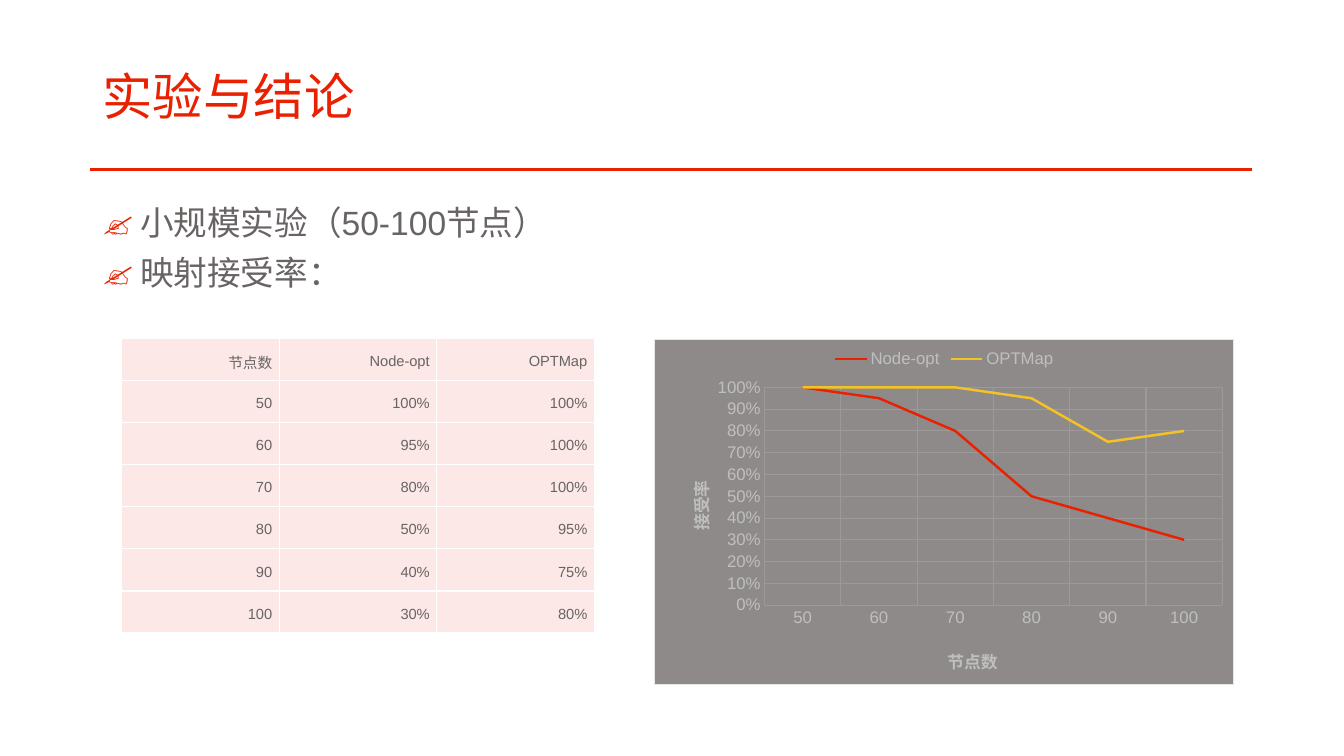
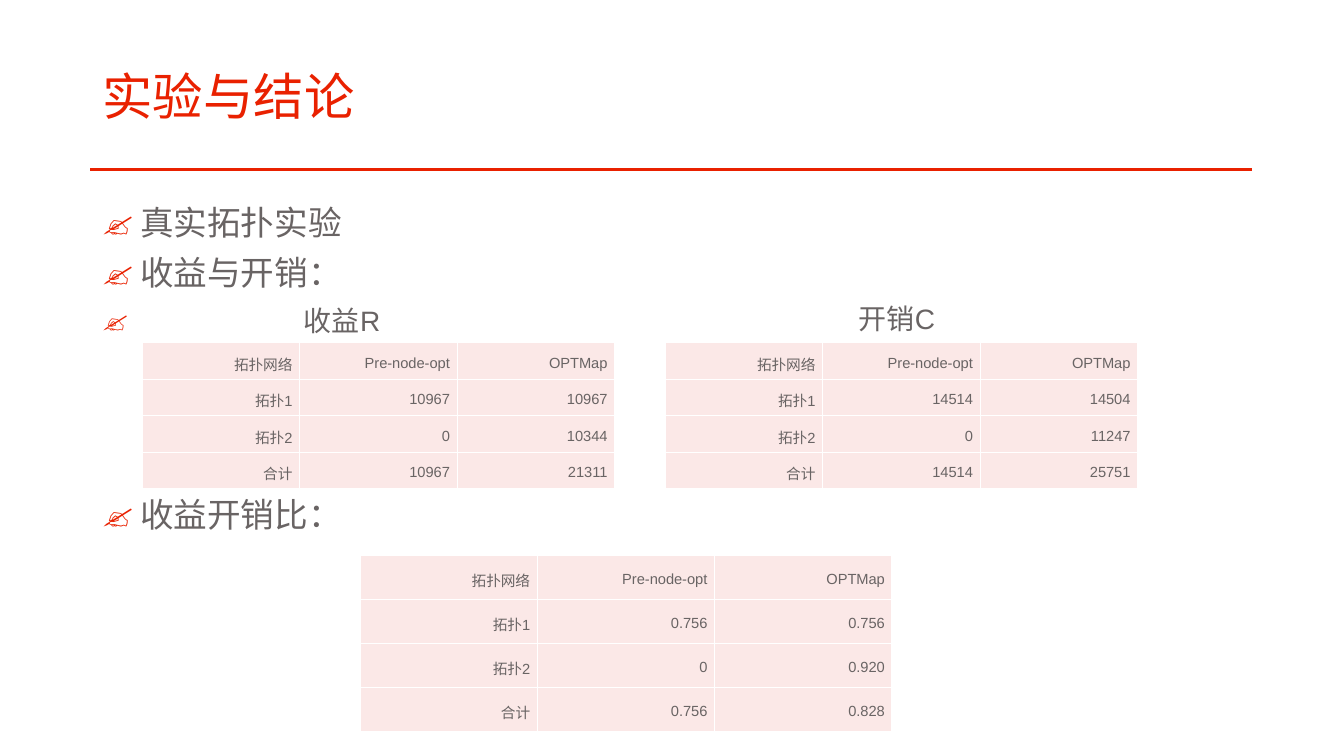
from lxml import etree
from pptx import Presentation
from pptx import util as u
from pptx.chart.data import CategoryChartData
from pptx.dml.color import RGBColor
from pptx.enum import chart as charts, shapes, text
from pptx.oxml import parse_xml
from pptx.oxml.ns import nsdecls, qn

RED = RGBColor(0xE9, 0x21, 0x00)
YELLOW = RGBColor(0xF3, 0xC3, 0x24)
GRAY = RGBColor(0x69, 0x64, 0x64)
PINK = RGBColor(0xFB, 0xE8, 0xE7)
WHITE = RGBColor(0xFF, 0xFF, 0xFF)
PANEL = RGBColor(0x8F, 0x8A, 0x8A)
PANEL_EDGE = RGBColor(0xE9, 0xE8, 0xE8)
GRID = RGBColor(0x9D, 0x99, 0x99)
SILVER = RGBColor(0xBF, 0xBF, 0xBF)
FONT = "Arial"
LEFT, WIDTH = 2.33, 29.21
HANG = 0.95


def style(font, size, color, bold=False):
    font.name = FONT
    font.size = u.Pt(size)
    font.bold = bold
    font.color.rgb = color


def line_xml(tag, color, points):
    return (f'<a:{tag} {nsdecls("a")} w="{u.Pt(points)}"><a:solidFill>'
            f'<a:srgbClr val="{color}"/></a:solidFill></a:{tag}>')


def place(parent, index, **fractions):
    for layout in parent.findall(qn("c:layout")):
        parent.remove(layout)
    inner = '<c:layoutTarget val="inner"/>' if "w" in fractions else ""
    modes = "".join(f'<c:{key}Mode val="edge"/>' for key in "xy")
    values = "".join(f'<c:{key} val="{value}"/>' for key, value in fractions.items())
    parent.insert(index, parse_xml(
        f'<c:layout {nsdecls("c")}><c:manualLayout>{inner}{modes}{values}'
        '</c:manualLayout></c:layout>'))


class Deck:
    def __init__(self):
        self.show = Presentation()
        self.show.slide_width = u.Cm(33.87)
        self.show.slide_height = u.Cm(19.05)
        self.page = None

    def add_span(self, para, words, size, color, bold=False):
        span = para.add_run()
        span.text = words
        style(span.font, size, color, bold)

    def add_page(self, title):
        self.page = self.show.slides.add_slide(self.show.slide_layouts[5])
        rule = self.page.shapes.add_connector(
            shapes.MSO_CONNECTOR.STRAIGHT, u.Cm(2.28), u.Cm(4.27), u.Cm(31.54), u.Cm(4.27))
        rule.line.color.rgb = RED
        rule.line.width = u.Pt(1.75)
        etree.SubElement(rule._element.spPr, qn("a:effectLst"))
        box = self.page.shapes.title
        box.left, box.top, box.width, box.height = map(u.Cm, (LEFT, 1.14, WIDTH, 2.74))
        box.text_frame.vertical_anchor = text.MSO_ANCHOR.MIDDLE
        para = box.text_frame.paragraphs[0]
        para.alignment = text.PP_ALIGN.LEFT
        para.line_spacing = 0.9
        self.add_span(para, title, 36, RED)

    def text_box(self, left, top, width, height):
        box = self.page.shapes.add_textbox(*map(u.Cm, (left, top, width, height)))
        box.text_frame.word_wrap = True
        return box.text_frame

    def bullets(self, *items):
        frame = self.text_box(LEFT, 5.08, WIDTH, 13)
        for number, (words, size, before, hang) in enumerate(items):
            para = frame.add_paragraph() if number else frame.paragraphs[0]
            para.line_spacing = 0.9
            para.space_before = u.Pt(before)
            self.add_span(para, words, size, GRAY)
            properties = para._p.get_or_add_pPr()
            properties.set("marL", str(u.Cm(hang)))
            properties.set("indent", str(-u.Cm(hang)))
            color = etree.SubElement(properties, qn("a:buClr"))
            etree.SubElement(color, qn("a:srgbClr"), val=str(RED))
            etree.SubElement(properties, qn("a:buFont"), typeface=FONT)
            etree.SubElement(properties, qn("a:buChar"), char="✍")

    def label(self, words, left, top):
        frame = self.text_box(left, top, 4, 0.8)
        frame.margin_left = frame.margin_top = 0
        para = frame.paragraphs[0]
        para.line_spacing = 0.9
        self.add_span(para, words, 20, GRAY)

    def table(self, left, top, column_width, row_height, rows):
        columns = len(rows[0])
        table = self.page.shapes.add_table(
            len(rows), columns, u.Cm(left), u.Cm(top),
            u.Cm(column_width * columns), u.Cm(row_height * len(rows))).table
        table.first_row = table.horz_banding = False
        for column in table.columns:
            column.width = u.Cm(column_width)
        for number, values in enumerate(rows):
            table.rows[number].height = u.Cm(row_height)
            for cell, words in zip(table.rows[number].cells, values):
                self.fill_cell(cell, words, 0 if number else 10)

    def fill_cell(self, cell, words, after):
        cell.fill.solid()
        cell.fill.fore_color.rgb = PINK
        cell.vertical_anchor = text.MSO_ANCHOR.MIDDLE
        cell.margin_left = cell.margin_right = u.Cm(0.18)
        cell.margin_top = cell.margin_bottom = 0
        para = cell.text_frame.paragraphs[0]
        para.alignment = text.PP_ALIGN.RIGHT
        para.line_spacing = 1.25
        para.space_before = u.Pt(12)
        para.space_after = u.Pt(after)
        self.add_span(para, words, 10.5, GRAY)
        properties = cell._tc.get_or_add_tcPr()
        for index, side in enumerate(("lnL", "lnR", "lnT", "lnB")):
            properties.insert(index, parse_xml(line_xml(side, WHITE, 1)))

    def axis(self, axis, title, x, y):
        axis.has_major_gridlines = True
        axis.major_gridlines.format.line.color.rgb = GRID
        axis.major_gridlines.format.line.width = u.Pt(0.75)
        axis.major_tick_mark = axis.minor_tick_mark = charts.XL_TICK_MARK.NONE
        axis.format.line.fill.background()
        style(axis.tick_labels.font, 12, SILVER)
        self.add_span(axis.axis_title.text_frame.paragraphs[0], title, 12, SILVER, True)
        place(axis.axis_title._element, 1, x=x, y=y)

    def line_chart(self, left, top, width, height, categories, series, titles):
        data = CategoryChartData(number_format="0%")
        data.categories = categories
        for name, values, _ in series:
            data.add_series(name, values)
        chart = self.page.shapes.add_chart(
            charts.XL_CHART_TYPE.LINE, *map(u.Cm, (left, top, width, height)), data).chart
        chart.has_title = False
        style(chart.font, 10, GRAY)
        chart.has_legend = True
        chart.legend.position = charts.XL_LEGEND_POSITION.TOP
        chart.legend.include_in_layout = False
        style(chart.legend.font, 12, SILVER)
        self.axis(chart.category_axis, titles[0], 0.5, 0.88)
        self.axis(chart.value_axis, titles[1], 0.05, 0.4)
        chart.value_axis.minimum_scale = 0
        chart.value_axis.maximum_scale = 1
        chart.value_axis.major_unit = 0.1
        chart.value_axis.tick_labels.number_format = "0%"
        chart.value_axis.tick_labels.number_format_is_linked = False
        chart.plots[0].vary_by_categories = False
        for curve, (_, _, color) in zip(chart.plots[0].series, series):
            curve.smooth = False
            curve.marker.style = charts.XL_MARKER_STYLE.NONE
            curve.format.line.color.rgb = color
            curve.format.line.width = u.Pt(1.75)
        body = chart._chartSpace.find(qn("c:chart"))
        place(body.find(qn("c:plotArea")), 0, x=0.19, y=0.14, w=0.79, h=0.63)
        body.addnext(parse_xml(
            f'<c:spPr {nsdecls("c", "a")}><a:solidFill><a:srgbClr val="{PANEL}"/>'
            f'</a:solidFill>{line_xml("ln", PANEL_EDGE, 0.75)}</c:spPr>'))


def main():
    deck = Deck()
    title = "实验与结论"

    deck.add_page(title)
    deck.bullets(("小规模实验（50-100节点）", 24, 10, HANG), ("映射接受率：", 24, 10, HANG))
    nodes = ["50", "60", "70", "80", "90", "100"]
    node_opt = [1, 0.95, 0.8, 0.5, 0.4, 0.3]
    opt_map = [1, 1, 1, 0.95, 0.75, 0.8]
    rates = [(node, f"{first:.0%}", f"{second:.0%}")
             for node, first, second in zip(nodes, node_opt, opt_map)]
    deck.table(3.07, 8.53, 3.97, 1.06, [("节点数", "Node-opt", "OPTMap"), *rates])
    deck.line_chart(16.48, 8.53, 14.63, 8.74, nodes,
                    [("Node-opt", node_opt, RED), ("OPTMap", opt_map, YELLOW)],
                    ("节点数", "接受率"))

    deck.add_page(title)
    deck.bullets(("真实拓扑实验", 24, 10, HANG), ("收益与开销：", 24, 10, HANG),
                 ("收益R", 20, 10, 5.08), ("收益开销比：", 24, 115, HANG))
    deck.label("开销C", 21.64, 7.7)
    header = ("拓扑网络", "Pre-node-opt", "OPTMap")
    names = ("拓扑1", "拓扑2", "合计")
    results = [
        (3.58, 8.64, 3.97, 0.92, ("10967", "0", "10967"), ("10967", "10344", "21311")),
        (16.76, 8.64, 3.97, 0.92, ("14514", "0", "14514"), ("14504", "11247", "25751")),
        (9.07, 14, 4.47, 1.11, ("0.756", "0", "0.756"), ("0.756", "0.920", "0.828")),
    ]
    for left, top, column_width, row_height, before, after in results:
        deck.table(left, top, column_width, row_height, [header, *zip(names, before, after)])

    deck.show.save("out.pptx")


if __name__ == "__main__":
    main()
